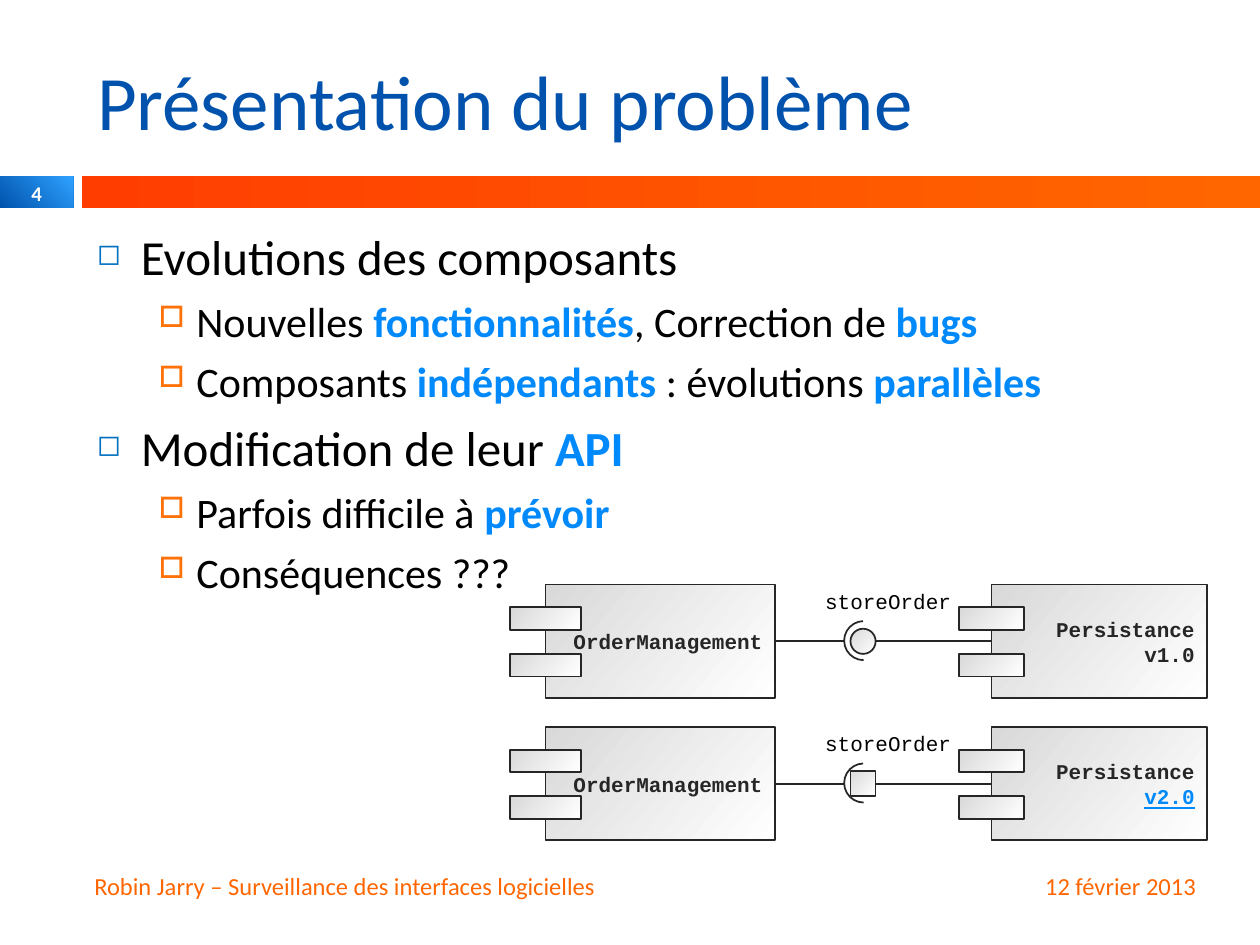
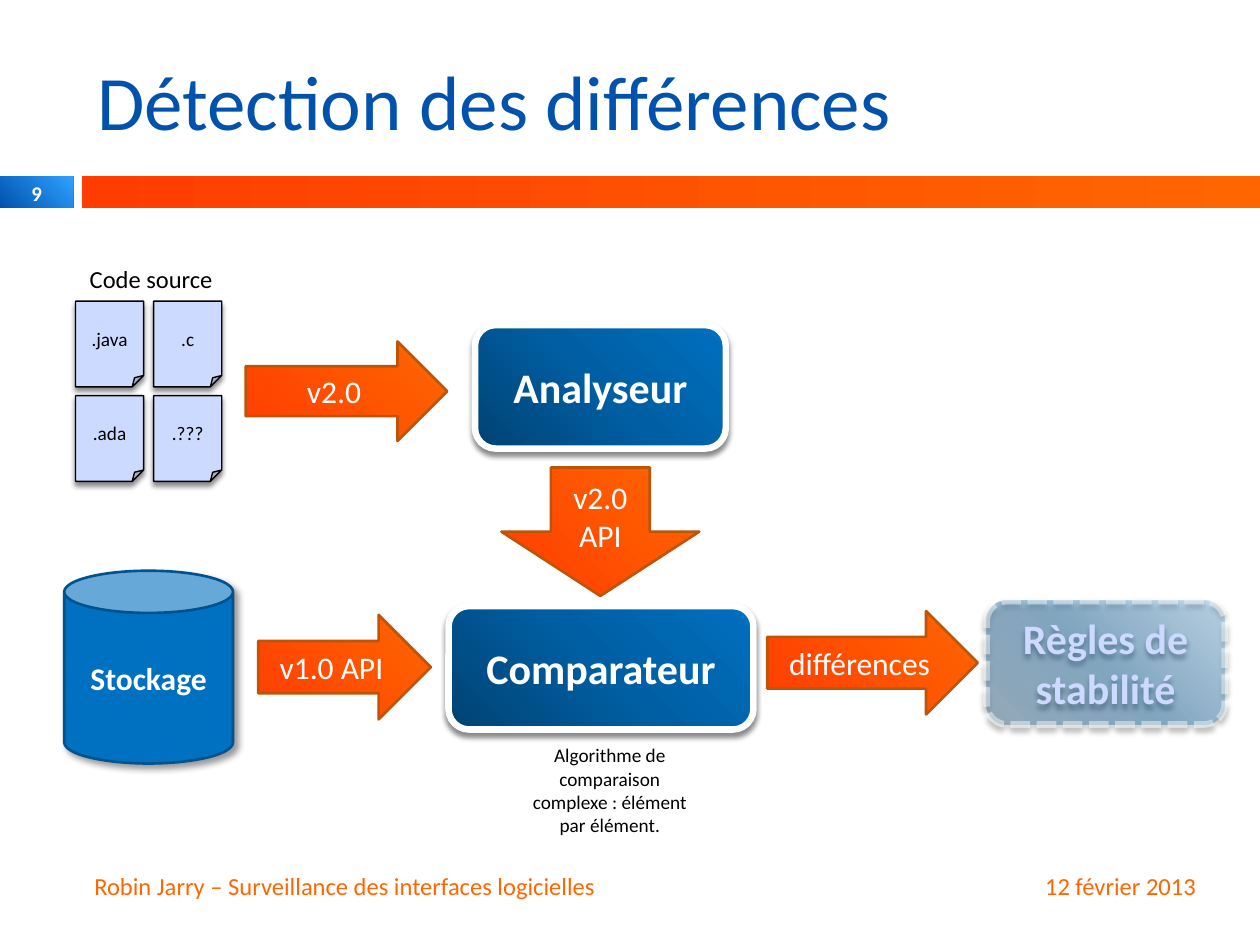
from lxml.etree import SubElement
from pptx import Presentation
from pptx.dml.color import RGBColor
from pptx.enum.dml import MSO_LINE
from pptx.enum.shapes import MSO_CONNECTOR, MSO_SHAPE
from pptx.enum.text import MSO_ANCHOR, PP_ALIGN
from pptx.oxml.ns import qn
from pptx.util import Pt

PX = 9144  # EMU per px, 100 px to the inch

BLACK = RGBColor(0x00, 0x00, 0x00)
WHITE = RGBColor(0xFF, 0xFF, 0xFF)
INK = RGBColor(0x26, 0x26, 0x26)
GREY = RGBColor(0xD9, 0xD9, 0xD9)
TITLE_BLUE = RGBColor(0x00, 0x52, 0xAC)
SKY = RGBColor(0x2F, 0xA1, 0xFF)
ACCENT = RGBColor(0x00, 0x89, 0xFA)
BLUE = RGBColor(0x00, 0x70, 0xC0)
MID_BLUE = RGBColor(0x00, 0x5E, 0xA2)
DARK_BLUE = RGBColor(0x00, 0x42, 0x72)
CAN_EDGE = RGBColor(0x00, 0x53, 0x8E)
PALE = RGBColor(0xCD, 0xDA, 0xFF)
RED = RGBColor(0xFF, 0x3D, 0x01)
ORANGE = RGBColor(0xFF, 0x66, 0x00)
BULLET_ORANGE = RGBColor(0xFF, 0x72, 0x09)
ARROW_EDGE = RGBColor(0xBD, 0x54, 0x07)

# Gradient stops: position, colour, opacity (%)
TAB_FILL = [(0, TITLE_BLUE, 100), (100, SKY, 100)]
ORANGE_FILL = [(0, RED, 100), (100, ORANGE, 100)]
GREY_FILL = [(0, GREY, 100), (100, WHITE, 100)]
STEP_FILL = [(0, DARK_BLUE, 100), (50, MID_BLUE, 100), (100, BLUE, 100)]
FADED_FILL = [(0, DARK_BLUE, 32), (50, MID_BLUE, 38), (100, BLUE, 20)]

# Shadows: opacity (%), blur and distance (pt), direction (degrees)
DROP_SHADOW = (45, 3, 2.4, 90)
CAN_SHADOW = (40, 4, 3, 45)


def paint(shape, fill, angle=0, line=None, width=1, shadow=None):
    """Fill with one colour, gradient stops or nothing; set outline and shadow."""
    if fill is None:
        shape.fill.background()
    elif isinstance(fill, RGBColor):
        shape.fill.solid()
        shape.fill.fore_color.rgb = fill
    else:
        shape.fill.gradient()
        shape.fill.gradient_angle = (360 - angle) % 360
        stops = shape._element.spPr.find(qn("a:gradFill")).find(qn("a:gsLst"))
        stops.clear()
        for position, color, opacity in fill:
            stop = SubElement(stops, qn("a:gs"), pos=str(position * 1000))
            tint = SubElement(stop, qn("a:srgbClr"), val=str(color))
            if opacity < 100:
                SubElement(tint, qn("a:alpha"), val=str(opacity * 1000))
    if line is None:
        shape.line.fill.background()
    else:
        shape.line.color.rgb = line
        shape.line.width = Pt(width)
    shape.shadow.inherit = False
    if shadow:
        opacity, blur, distance, direction = shadow
        effects = shape._element.spPr.find(qn("a:effectLst"))
        outer = SubElement(effects, qn("a:outerShdw"), blurRad=str(Pt(blur)),
                           dist=str(Pt(distance)), dir=str(direction * 60000),
                           rotWithShape="0")
        tint = SubElement(outer, qn("a:srgbClr"), val=str(BLACK))
        SubElement(tint, qn("a:alpha"), val=str(opacity * 1000))


def write(shape, text, size, color, align=PP_ALIGN.CENTER, bold=False, font="Calibri"):
    frame = shape.text_frame
    frame.text = text
    frame.word_wrap = True
    frame.vertical_anchor = MSO_ANCHOR.MIDDLE
    for paragraph in frame.paragraphs:
        paragraph.alignment = align
        paragraph.font.size = Pt(size)
        paragraph.font.name = font
        paragraph.font.bold = bold
        paragraph.font.color.rgb = color


deck = Presentation()
deck.slide_width, deck.slide_height = 1000 * PX, 750 * PX

# Title, bands and footers of every slide
slides = []
for heading, number in (("Présentation du problème", "4"), ("Détection des différences", "9")):
    slide = deck.slides.add_slide(deck.slide_layouts[5])
    slides.append(slide)
    for left, width, fill, angle in ((0, 58, TAB_FILL, 315), (65, 935, ORANGE_FILL, 0)):
        band = slide.shapes.add_shape(MSO_SHAPE.RECTANGLE, left * PX, 140 * PX, width * PX, 25 * PX)
        paint(band, fill, angle)
    title = slide.shapes.title
    title.left, title.top, title.width, title.height = 67 * PX, 25 * PX, 892 * PX, 108 * PX
    write(title, heading, 44, TITLE_BLUE, PP_ALIGN.LEFT)
    for text, left, top, width, height, size, color, align, bold in (
        ("Robin Jarry – Surveillance des interfaces logicielles",
         65, 683, 593, 40, 14, ORANGE, PP_ALIGN.LEFT, False),
        (number, 0, 140, 58, 27, 11.9, WHITE, PP_ALIGN.CENTER, True),
        ("12 février 2013", 667, 683, 292, 40, 14, ORANGE, PP_ALIGN.RIGHT, False),
    ):
        label = slide.shapes.add_textbox(left * PX, top * PX, width * PX, height * PX)
        write(label, text, size, color, align, bold)

problem, detection = slides

# Problem: bullet list, with every second piece of a line emphasised
POINTS = [
    (0, ["Evolutions des composants"]),
    (1, ["Nouvelles ", "fonctionnalités", ", Correction de ", "bugs"]),
    (1, ["Composants ", "indépendants ", ": évolutions ", "parallèles"]),
    (0, ["Modification de leur ", "API"]),
    (1, ["Parfois difficile à ", "prévoir"]),
    (1, ["Conséquences ???"]),
]
# Per level: size, space before, left margin, hanging indent, bullet, its colour and size
LEVELS = [(28, 7, 35, 35, "◻", BLUE, 60), (24, 5.5, 79, 30, "□", BULLET_ORANGE, 70)]

points = problem.shapes.add_textbox(67 * PX, 175 * PX, 892 * PX, 363 * PX).text_frame
points.word_wrap = True
for index, (level, pieces) in enumerate(POINTS):
    size, before, margin, hanging, bullet, bullet_color, bullet_size = LEVELS[level]
    point = points.add_paragraph() if index else points.paragraphs[0]
    point.level = level
    point.space_before = Pt(before)
    point.font.size = Pt(size)
    point.font.name = "Calibri"
    point.font.color.rgb = BLACK
    for order, piece in enumerate(pieces):
        run = point.add_run()
        run.text = piece
        if order % 2:
            run.font.bold = True
            run.font.color.rgb = ACCENT
    properties = point._p.get_or_add_pPr()
    properties.set("marL", str(margin * PX))
    properties.set("indent", str(-hanging * PX))
    # The bullet goes between the spacing and the default run properties
    defaults = properties.find(qn("a:defRPr"))
    tint = SubElement(properties, qn("a:buClr"))
    SubElement(tint, qn("a:srgbClr"), val=str(bullet_color))
    SubElement(properties, qn("a:buSzPct"), val=str(bullet_size * 1000))
    SubElement(properties, qn("a:buChar"), char=bullet)
    if defaults is not None:
        properties.append(defaults)

# Problem: two component diagrams, one above the other
for top, version, socket in ((464, "v1.0", MSO_SHAPE.OVAL), (577, "v2.0", MSO_SHAPE.RECTANGLE)):
    axis = top + 45
    for name, left, width, lug_left, lug_width in (
        ("OrderManagement", 433, 182, 405, 56),
        ("Persistance\n" + version, 787, 171, 761, 52),
    ):
        component = problem.shapes.add_shape(
            MSO_SHAPE.RECTANGLE, left * PX, top * PX, width * PX, 90 * PX)
        paint(component, GREY_FILL, 40, INK)
        write(component, name, 12, INK, PP_ALIGN.RIGHT, True, "Courier New")
        for lug_top in (top + 18, top + 55):
            lug = problem.shapes.add_shape(
                MSO_SHAPE.RECTANGLE, lug_left * PX, lug_top * PX, lug_width * PX, 18 * PX)
            paint(lug, GREY_FILL, 40, INK)
    if version == "v2.0":
        changed = component.text_frame.paragraphs[1].font
        changed.color.rgb = ACCENT
        changed.underline = True

    for start, end in ((615, 670), (695, 787)):
        link = problem.shapes.add_connector(
            MSO_CONNECTOR.STRAIGHT, start * PX, axis * PX, end * PX, axis * PX)
        link.line.color.rgb = INK
        link.line.width = Pt(1)
        SubElement(link._element.spPr, qn("a:effectLst"))
    required = problem.shapes.add_shape(
        MSO_SHAPE.ARC, 670 * PX, (axis - 16) * PX, 31 * PX, 31 * PX)
    required.adjustments[0], required.adjustments[1] = 54.16, 160.87
    paint(required, None, line=INK)
    provided = problem.shapes.add_shape(socket, 675 * PX, (axis - 10) * PX, 20 * PX, 20 * PX)
    paint(provided, GREY_FILL, 40, INK)
    operation = problem.shapes.add_textbox(645 * PX, (top - 2) * PX, 122 * PX, 30 * PX)
    write(operation, "storeOrder", 12, BLACK, PP_ALIGN.LEFT, font="Courier New")

# Detection: source files in a two by two grid
for index, extension in enumerate((".java", ".c", ".ada", ".???")):
    row, column = divmod(index, 2)
    source_file = detection.shapes.add_shape(
        MSO_SHAPE.FOLDED_CORNER, (60 + 62 * column) * PX, (239 + 75 * row) * PX, 54 * PX, 68 * PX)
    paint(source_file, PALE, line=BLACK, width=0.79, shadow=DROP_SHADOW)
    write(source_file, extension, 11, BLACK)
    frame = source_file.text_frame
    frame.margin_left = frame.margin_right = 4 * PX
    frame.margin_top = frame.margin_bottom = 5 * PX

for caption, left, top, width, height, size in (
    ("Code source", 51, 204, 138, 34, 14),
    ("Algorithme de comparaison complexe : élément par élément.", 405, 585, 158, 84, 11),
):
    note = detection.shapes.add_textbox(left * PX, top * PX, width * PX, height * PX)
    write(note, caption, size, BLACK)

storage = detection.shapes.add_shape(MSO_SHAPE.CAN, 51 * PX, 453 * PX, 134 * PX, 153 * PX)
paint(storage, BLUE, line=CAN_EDGE, width=1.5, shadow=CAN_SHADOW)
write(storage, "Stockage", 18, WHITE, bold=True)

for name, left, top, width, fill, color in (
    ("Analyseur", 377, 258, 199, STEP_FILL, WHITE),
    ("Comparateur", 356, 481, 242, STEP_FILL, WHITE),
    ("Règles de stabilité", 783, 477, 189, FADED_FILL, PALE),
):
    step = detection.shapes.add_shape(
        MSO_SHAPE.ROUNDED_RECTANGLE, left * PX, top * PX, width * PX, 98 * PX)
    paint(step, fill, 315, WHITE, 3.75, DROP_SHADOW)
    write(step, name, 24, color, bold=True)

# The last step, still to come, has a dashed, see-through outline
step.line.dash_style = MSO_LINE.SQUARE_DOT
outline = step._element.spPr.find(qn("a:ln")).find(qn("a:solidFill"))
SubElement(outline.find(qn("a:srgbClr")), qn("a:alpha"), val="46000")

for flow, direction, left, top, width, height in (
    ("v2.0", MSO_SHAPE.RIGHT_ARROW, 195, 271, 160, 79),
    ("v1.0 API", MSO_SHAPE.RIGHT_ARROW, 205, 488, 137, 83),
    ("v2.0 API", MSO_SHAPE.DOWN_ARROW, 398, 371, 157, 102),
    ("différences", MSO_SHAPE.RIGHT_ARROW, 609, 485, 167, 82),
):
    arrow = detection.shapes.add_shape(direction, left * PX, top * PX, width * PX, height * PX)
    paint(arrow, ORANGE_FILL, 315, ARROW_EDGE, 1.5)
    write(arrow, flow, 18, WHITE)

deck.save("out.pptx")
